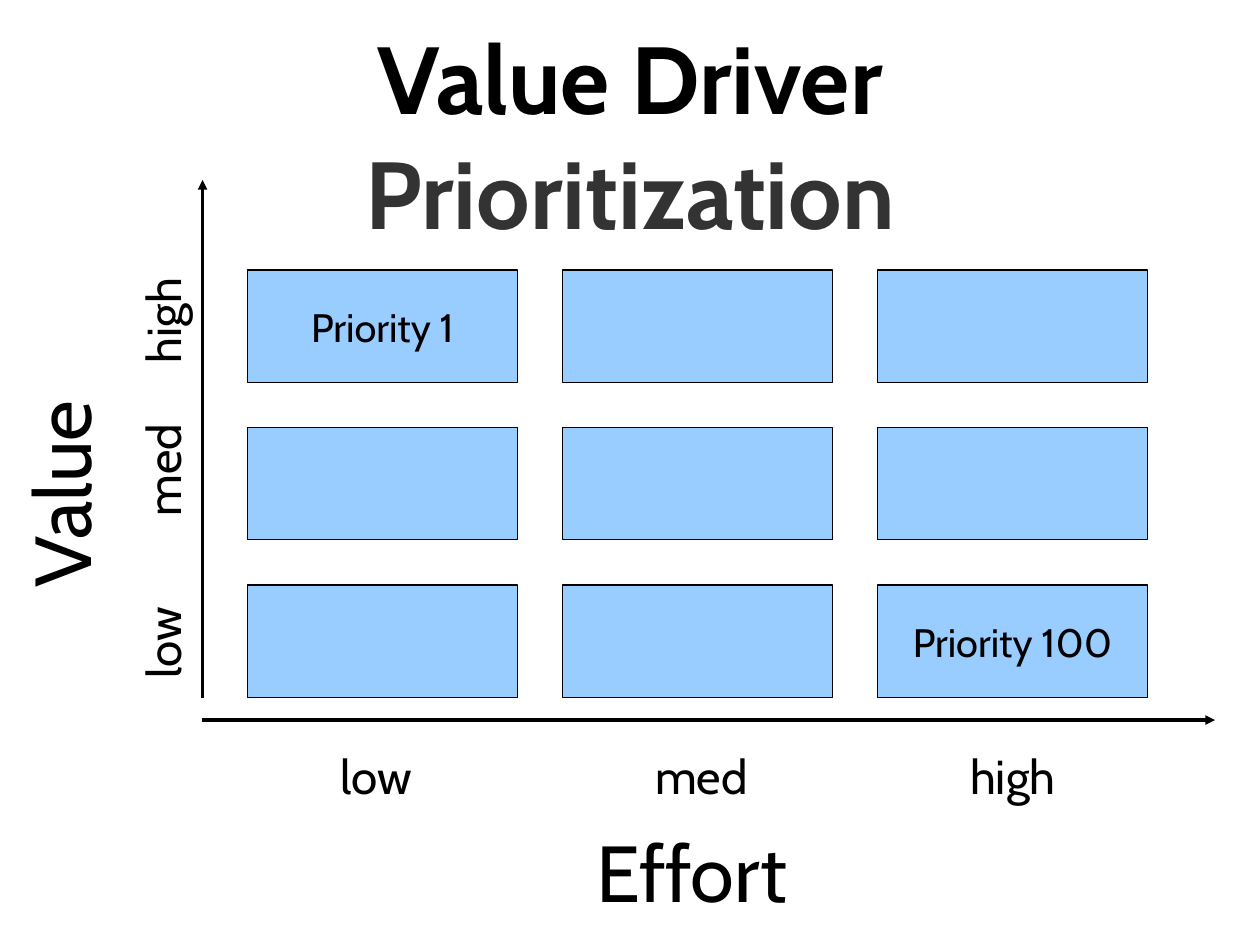
import pptx
import pptx.util
import pptx.dml.color
import pptx.enum.shapes
import pptx.enum.text
import pptx.oxml.ns
from lxml import etree

COLORS = {"text": "000000", "subtitle": "333333", "cell": "99CCFF", "line": "000000"}
FONT = "Cabin"
SCALE = 3600  # EMU per px, a tenth of a millimetre


def px(length):
    return pptx.util.Emu(length * SCALE)


def color(name):
    return pptx.dml.color.RGBColor.from_string(COLORS[name])


class Matrix:
    """Style and current slide of the priority matrix."""

    def __init__(self, deck):
        self.page = deck.slides.add_slide(deck.slide_layouts[5])
        self.shapes = self.page.shapes

    def format_span(self, span, size, name="text", bold=False):
        span.font.name = FONT
        span.font.size = pptx.util.Pt(size)
        span.font.bold = bold
        span.font.color.rgb = color(name)

    def title(self, first, second, left, top, width, height):
        box = self.shapes.title
        box.left, box.top, box.width, box.height = map(px, (left, top, width, height))
        frame = box.text_frame
        frame.margin_left = frame.margin_right = frame.margin_top = frame.margin_bottom = 0
        frame.auto_size = pptx.enum.text.MSO_AUTO_SIZE.NONE
        frame.vertical_anchor = pptx.enum.text.MSO_ANCHOR.MIDDLE
        frame.text = first + "\v" + second
        para = frame.paragraphs[0]
        para.alignment = pptx.enum.text.PP_ALIGN.CENTER
        para.line_spacing = 1.0
        for span, name in zip(para.runs, ("text", "subtitle")):
            self.format_span(span, 60, name, bold=True)

    def axis(self, x1, y1, x2, y2):
        arrow = self.shapes.add_connector(
            pptx.enum.shapes.MSO_CONNECTOR.STRAIGHT, px(x1), px(y1), px(x2), px(y2))
        arrow.line.color.rgb = color("line")
        arrow.line.width = 0
        qn = pptx.oxml.ns.qn
        etree.SubElement(arrow.line._get_or_add_ln(), qn("a:tailEnd"), type="triangle")
        etree.SubElement(arrow._element.spPr, qn("a:effectLst"))

    def label(self, text, left, top, width, height, size, rotation=0):
        box = self.shapes.add_textbox(px(left), px(top), px(width), px(height))
        box.rotation = rotation
        frame = box.text_frame
        frame.word_wrap = False
        frame.auto_size = pptx.enum.text.MSO_AUTO_SIZE.SHAPE_TO_FIT_TEXT
        frame.text = text
        self.format_span(frame.paragraphs[0].runs[0], size)

    def cell(self, left, top, width, height, text=None):
        box = self.shapes.add_shape(
            pptx.enum.shapes.MSO_SHAPE.RECTANGLE, px(left), px(top), px(width), px(height))
        box.shadow.inherit = False
        box.fill.solid()
        box.fill.fore_color.rgb = color("cell")
        box.line.color.rgb = color("line")
        box.line.width = 0
        if text:
            frame = box.text_frame
            frame.vertical_anchor = pptx.enum.text.MSO_ANCHOR.MIDDLE
            frame.text = text
            para = frame.paragraphs[0]
            para.alignment = pptx.enum.text.PP_ALIGN.CENTER
            self.format_span(para.runs[0], 25)


def main():
    deck = pptx.Presentation()
    deck.slide_width, deck.slide_height = px(2800), px(2100)
    matrix = Matrix(deck)
    matrix.title("Value Driver", "Prioritization", 100, -5, 2600, 605)

    # Axes and their names
    matrix.axis(450, 1550, 450, 400)
    matrix.axis(450, 1600, 2700, 1600)
    matrix.label("Value", -104, 945, 505, 267, 50, rotation=270)
    matrix.label("Effort", 1300, 1816, 513, 267, 50)

    # Three by three grid of priorities
    priorities = {(0, 0): "Priority 1", (2, 2): "Priority 100"}
    for row in range(3):
        for column in range(3):
            matrix.cell(550 + 700 * column, 600 + 350 * row, 600, 250,
                        priorities.get((row, column)))

    # Levels along both axes
    levels = [("low", 224, 1336), ("med", 274, 950), ("high", 274, 610)]
    for column, (level, width, top) in enumerate(levels):
        matrix.label(level, 731 + 700 * column, 1648, width, 170, 30)
        matrix.label(level, 371 - width // 2, top, width, 170, 30, rotation=270)

    deck.save("out.pptx")


if __name__ == "__main__":
    main()
